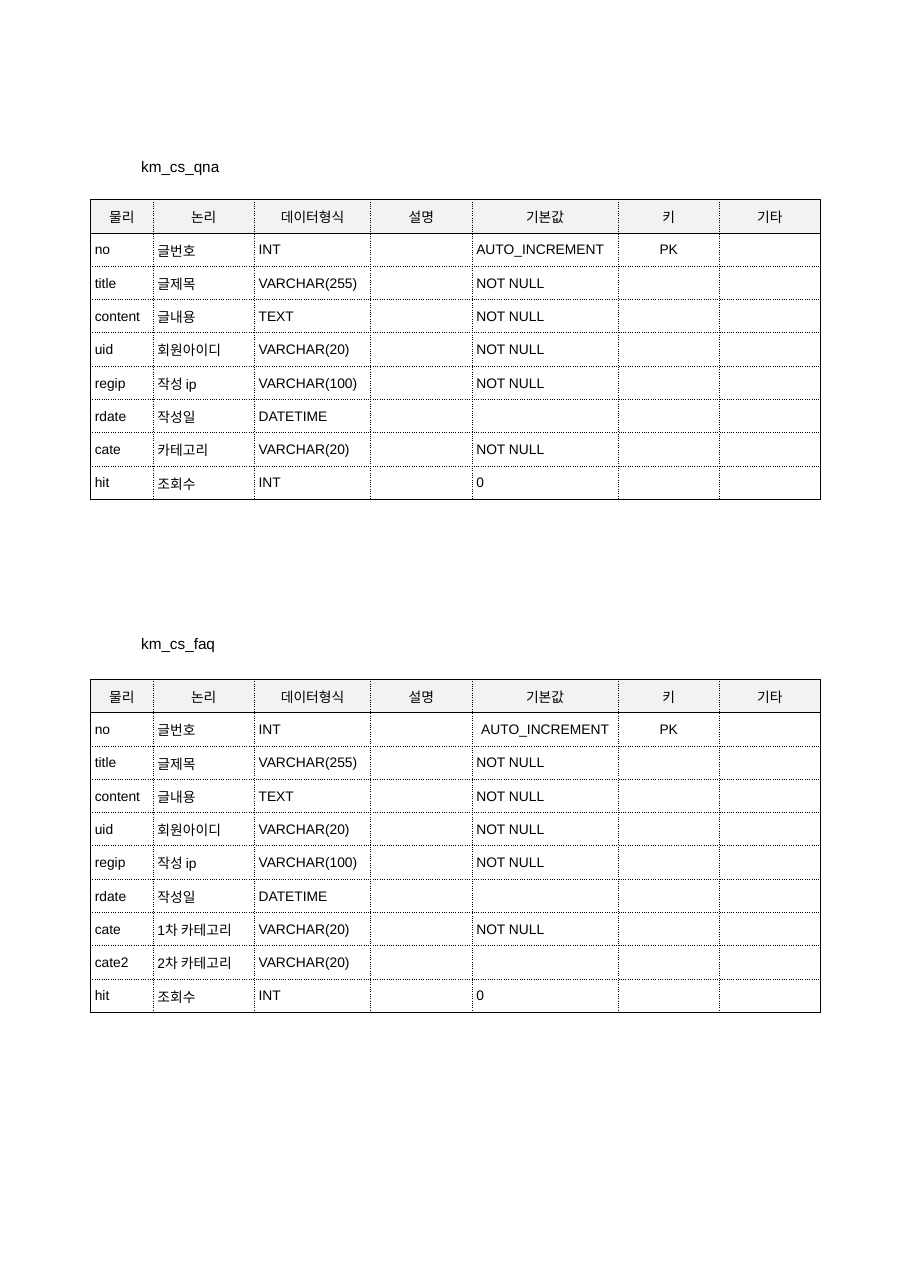
import pptx
import pptx.util
import pptx.dml.color
import pptx.enum.text
import pptx.oxml.ns
from lxml import etree

Inches, Pt = pptx.util.Inches, pptx.util.Pt
ALIGN = pptx.enum.text.PP_ALIGN
qn = pptx.oxml.ns.qn

COLORS = {"ink": "000000", "head": "F2F2F2"}
FONT = "Arial"
LEFT, WIDTH, ROW = 0.82, 6.62, 0.302
COLS = [0.57, 0.92, 1.06, 0.92, 1.33, 0.92, 0.92]
KEY, BASE = 5, 4  # columns of the key and of the default value
HEAD = ["물리", "논리", "데이터형식", "설명", "기본값", "키", "기타"]

# Fields: name, meaning, type, note, default, key, other
SHARED = [
    ["no", "글번호", "INT", "", "AUTO_INCREMENT", "PK", ""],
    ["title", "글제목", "VARCHAR(255)", "", "NOT NULL", "", ""],
    ["content", "글내용", "TEXT", "", "NOT NULL", "", ""],
    ["uid", "회원아이디", "VARCHAR(20)", "", "NOT NULL", "", ""],
    ["regip", "작성 ip", "VARCHAR(100)", "", "NOT NULL", "", ""],
    ["rdate", "작성일", "DATETIME", "", "", "", ""],
]
HIT = ["hit", "조회수", "INT", "", "0", "", ""]
QNA = SHARED + [["cate", "카테고리", "VARCHAR(20)", "", "NOT NULL", "", ""], HIT]
FAQ = SHARED + [
    ["cate", "1차 카테고리", "VARCHAR(20)", "", "NOT NULL", "", ""],
    ["cate2", "2차 카테고리", "VARCHAR(20)", "", "", "", ""],
    HIT,
]


def color(name):
    return pptx.dml.color.RGBColor.from_string(COLORS[name])


def style(para, size):
    for run in para.runs:
        run.font.size = Pt(size)
        run.font.name = FONT
        run.font.color.rgb = color("ink")


def add_label(slide, text, top):
    box = slide.shapes.add_textbox(Inches(1.28), Inches(top), Inches(0.88), Inches(0.15))
    frame = box.text_frame
    frame.margin_left = frame.margin_right = frame.margin_top = frame.margin_bottom = 0
    frame.word_wrap = True
    frame.auto_size = pptx.enum.text.MSO_AUTO_SIZE.SHAPE_TO_FIT_TEXT
    para = frame.paragraphs[0]
    para.text = text
    para.line_spacing = Pt(11.4)
    style(para, 10)


def set_edges(cell, solid):
    props = cell._tc.get_or_add_tcPr()
    for spot, side in enumerate("LRTB"):
        line = etree.Element(qn("a:ln" + side), w=str(Pt(0.5)))
        fill = etree.SubElement(line, qn("a:solidFill"))
        etree.SubElement(fill, qn("a:srgbClr"), val=COLORS["ink"])
        dash = "solid" if side in solid else "dot"
        etree.SubElement(line, qn("a:prstDash"), val=dash)
        props.insert(spot, line)


def fill_cell(cell, text, align, head):
    cell.margin_left = cell.margin_right = Inches(0.04)
    cell.margin_top, cell.margin_bottom = Inches(0.01), 0
    cell.vertical_anchor = pptx.enum.text.MSO_ANCHOR.MIDDLE
    para = cell.text_frame.paragraphs[0]
    para.text = text
    para.alignment = align
    style(para, 9)
    if not text:  # keep empty cells from stretching the row
        etree.SubElement(para._p, qn("a:endParaRPr"), sz="900")
    if head:
        cell.fill.solid()
        cell.fill.fore_color.rgb = color("head")
    else:
        cell.fill.background()


def add_grid(slide, fields, top, centred):
    rows = [HEAD] + fields
    frame = slide.shapes.add_table(len(rows), len(COLS), Inches(LEFT), Inches(top),
                                   Inches(WIDTH), Inches(ROW * len(rows)))
    table = frame.table
    table.first_row = table.horz_banding = False
    for col, width in zip(table.columns, COLS):
        col.width = Inches(WIDTH * width / sum(COLS))
    for r, row in enumerate(rows):
        table.rows[r].height = Inches(ROW)
        for c, text in enumerate(row):
            cell = table.cell(r, c)
            middle = r == 0 or c == KEY or (r, c) in centred
            fill_cell(cell, text, ALIGN.CENTER if middle else ALIGN.LEFT, r == 0)
            # Solid frame and header rule, dotted lines inside
            solid = {"L": c == 0, "R": c == len(COLS) - 1,
                     "T": r <= 1, "B": r in (0, len(rows) - 1)}
            set_edges(cell, [side for side in solid if solid[side]])


def main():
    deck = pptx.Presentation()
    deck.slide_width, deck.slide_height = Inches(8.26), Inches(11.68)
    slide = deck.slides.add_slide(deck.slide_layouts[6])

    # Question table
    add_label(slide, "km_cs_qna", 1.43)
    add_grid(slide, QNA, 1.81, [])

    # FAQ table
    add_label(slide, "km_cs_faq", 5.76)
    add_grid(slide, FAQ, 6.16, [(1, BASE)])

    deck.save("out.pptx")


if __name__ == "__main__":
    main()
